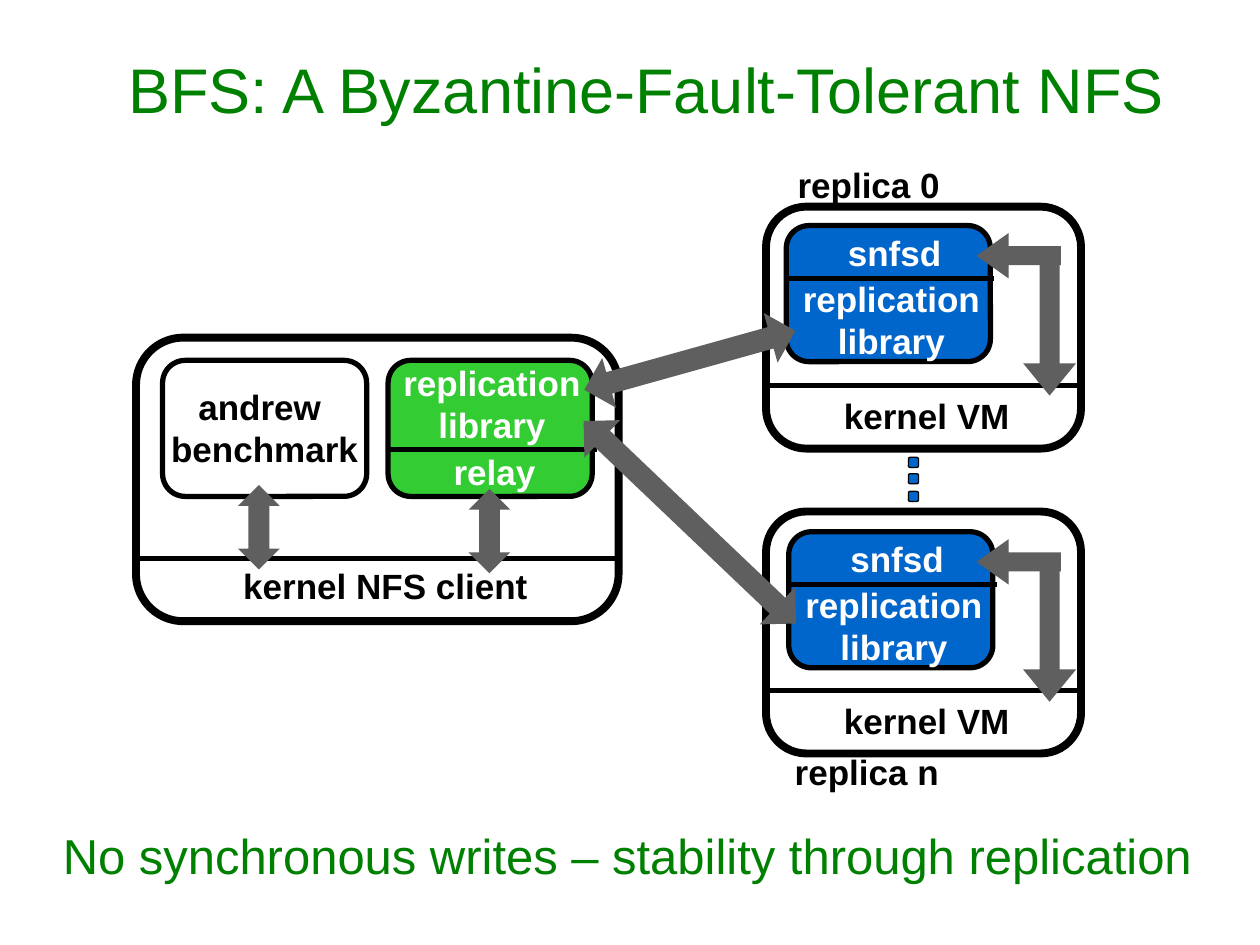
from lxml.etree import SubElement
from pptx import Presentation
from pptx.dml.color import RGBColor
from pptx.enum.shapes import MSO_CONNECTOR, MSO_SHAPE as Shape
from pptx.enum.text import MSO_ANCHOR, MSO_AUTO_SIZE, PP_ALIGN
from pptx.oxml.ns import qn
from pptx.util import Inches, Pt

BLACK = RGBColor(0x00, 0x00, 0x00)
WHITE = RGBColor(0xFF, 0xFF, 0xFF)
HEADING_GREEN = RGBColor(0x00, 0x80, 0x00)
CLIENT_GREEN = RGBColor(0x33, 0xCC, 0x33)
SERVER_BLUE = RGBColor(0x00, 0x66, 0xCC)
ARROW_GREY = RGBColor(0x5F, 0x5F, 0x5F)

MODULE_SIZE = (1.62, 1.08)


def style_paragraph(para, size, color, bold=False, align=PP_ALIGN.LEFT):
    para.alignment = align
    font = para.font
    font.name = "Arial"
    font.size = Pt(size)
    font.bold = bold
    font.color.rgb = color


def add_title(slide, text):
    title = slide.shapes.title
    title.left, title.top = Inches(0.42), Inches(0.08)
    title.width, title.height = Inches(9.42), Inches(1.25)
    title.text_frame.text = text
    title.text_frame.vertical_anchor = MSO_ANCHOR.MIDDLE
    style_paragraph(title.text_frame.paragraphs[0], 36, HEADING_GREEN,
                    align=PP_ALIGN.CENTER)


def add_statement(slide, text):
    box = slide.shapes.add_textbox(Inches(0.4), Inches(6.5),
                                   Inches(9.33), Inches(0.75))
    frame = box.text_frame
    frame.word_wrap = True
    frame.text = text
    para = frame.paragraphs[0]
    para.space_before = Pt(7)
    style_paragraph(para, 28, HEADING_GREEN)


def add_label(slide, text, left, top, width, color=BLACK):
    """Add a bold label; each line of the text is a centred paragraph."""
    lines = text.split("\n")
    height = 0.11 + 0.33 * len(lines)
    box = slide.shapes.add_textbox(Inches(left), Inches(top),
                                   Inches(width), Inches(height))
    frame = box.text_frame
    frame.word_wrap = False
    frame.auto_size = MSO_AUTO_SIZE.SHAPE_TO_FIT_TEXT
    frame.margin_left = frame.margin_right = Inches(0.05)
    frame.text = text
    for para in frame.paragraphs:
        style_paragraph(para, 20, color, bold=True, align=PP_ALIGN.CENTER)


def add_rounded_box(slide, left, top, width, height, line_width, fill=None):
    box = slide.shapes.add_shape(Shape.ROUNDED_RECTANGLE, Inches(left),
                                 Inches(top), Inches(width), Inches(height))
    box.shadow.inherit = False
    if fill is None:
        box.fill.background()
    else:
        box.fill.solid()
        box.fill.fore_color.rgb = fill
    box.line.color.rgb = BLACK
    box.line.width = Pt(line_width)


def add_divider(slide, left, top, width):
    line = slide.shapes.add_connector(MSO_CONNECTOR.STRAIGHT, Inches(left),
                                      Inches(top), Inches(left + width),
                                      Inches(top))
    line.line.color.rgb = BLACK
    line.line.width = Pt(3)
    SubElement(line._element.spPr, qn("a:effectLst"))


def add_arrow(slide, kind, left, top, width, height, shaft, head, rotation=0):
    arrow = slide.shapes.add_shape(kind, Inches(left), Inches(top),
                                   Inches(width), Inches(height))
    arrow.shadow.inherit = False
    # The up-down arrow takes its head length before its shaft width.
    double = kind == Shape.UP_DOWN_ARROW
    values = (head, shaft) if double else (shaft, head)
    for index, value in enumerate(values):
        arrow.adjustments[index] = value
    arrow.rotation = rotation
    arrow.fill.solid()
    arrow.fill.fore_color.rgb = ARROW_GREY
    arrow.line.fill.background()


def add_client(slide):
    add_rounded_box(slide, 1.08, 2.68, 3.83, 2.25, 4.5)
    add_divider(slide, 1.08, 4.43, 3.84)
    add_label(slide, "kernel NFS client", 1.83, 4.43, 2.46)

    add_rounded_box(slide, 1.29, 2.86, *MODULE_SIZE, 3)
    add_label(slide, "andrew \nbenchmark", 1.26, 3.01, 1.68)

    add_rounded_box(slide, 3.08, 2.86, *MODULE_SIZE, 3, CLIENT_GREEN)
    add_label(slide, "replication\nlibrary", 3.1, 2.82, 1.61, WHITE)
    add_divider(slide, 3.07, 3.57, 1.67)
    add_label(slide, "relay", 3.5, 3.53, 0.85, WHITE)

    for left, top in ((1.89, 3.85), (3.72, 3.88)):
        add_arrow(slide, Shape.UP_DOWN_ARROW, left, top, 0.33, 0.67, 0.5, 0.65)


def add_replica(slide, top, server_left, server_top):
    add_rounded_box(slide, server_left, server_top, *MODULE_SIZE, 3,
                    SERVER_BLUE)
    add_label(slide, "snfsd", server_left + 0.39, server_top, 0.94, WHITE)
    add_label(slide, "replication\nlibrary", server_left + 0.03,
              server_top + 0.36, 1.61, WHITE)
    add_divider(slide, server_left - 0.02, server_top + 0.42, 1.67)

    add_rounded_box(slide, 6.08, top, 2.5, 1.92, 4.5)
    add_divider(slide, 6.08, top + 1.42, 2.5)
    add_label(slide, "kernel VM", 6.6, top + 1.44, 1.51)

    add_arrow(slide, Shape.LEFT_ARROW, 7.75, server_top + 0.06,
              0.67, 0.36, 0.42, 0.71)
    add_arrow(slide, Shape.DOWN_ARROW, 8.12, server_top + 0.28,
              0.42, 1.07, 0.38, 0.61)


def main():
    deck = Presentation()
    deck.slide_width, deck.slide_height = Inches(10), Inches(7.5)
    slide = deck.slides.add_slide(deck.slide_layouts[5])

    add_title(slide, "BFS: A Byzantine-Fault-Tolerant NFS")
    add_statement(slide,
                  "No synchronous writes – stability through replication")

    add_client(slide)
    add_replica(slide, 1.64, 6.24, 1.79)
    add_replica(slide, 4.06, 6.26, 4.22)
    add_label(slide, "replica 0", 6.23, 1.25, 1.33)
    add_label(slide, "replica n", 6.21, 5.91, 1.34)

    add_arrow(slide, Shape.UP_DOWN_ARROW, 5.27, 2.98, 0.41, 2.33,
              0.43, 0.63, rotation=133.6)
    add_arrow(slide, Shape.UP_DOWN_ARROW, 5.27, 1.99, 0.41, 1.74,
              0.43, 0.47, rotation=74.4)

    for top in (3.63, 3.76, 3.9):
        add_rounded_box(slide, 7.21, top, 0.08, 0.08, 0.75, SERVER_BLUE)

    deck.save("out.pptx")


if __name__ == "__main__":
    main()
